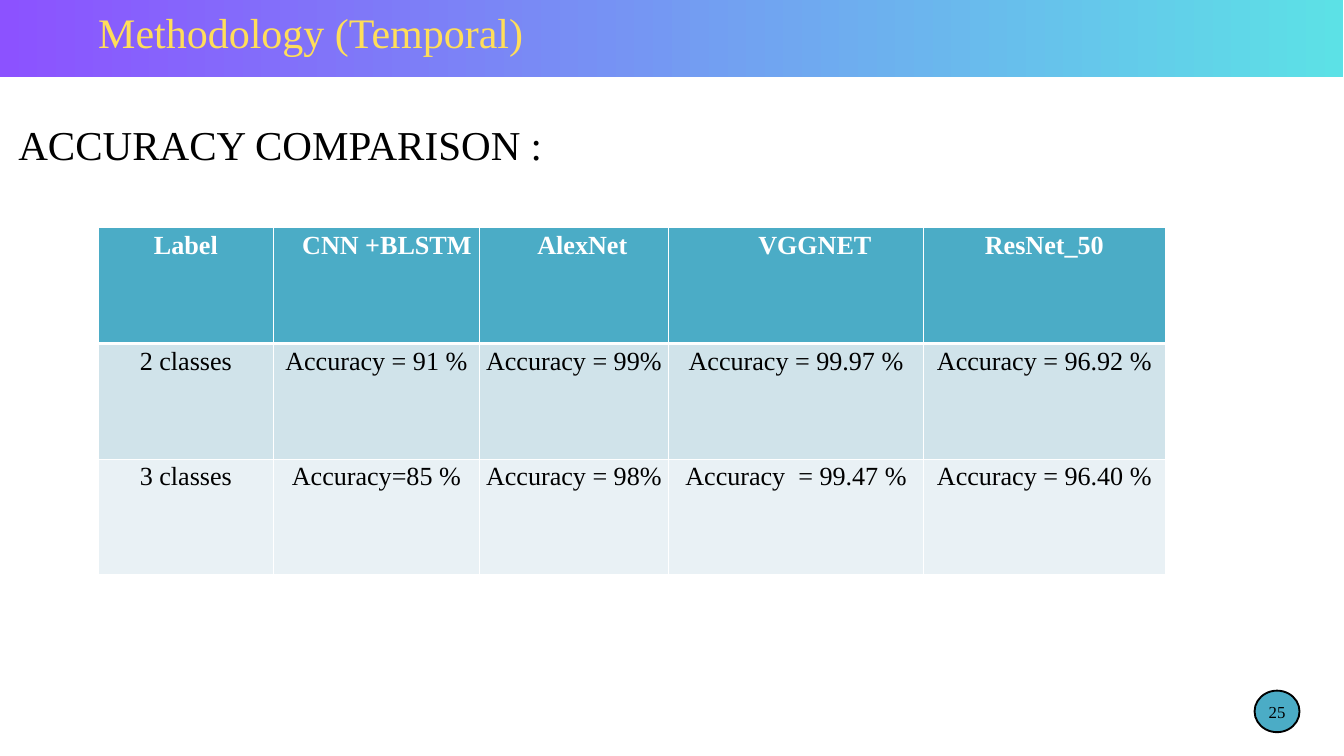
from lxml.etree import SubElement
from pptx import Presentation
from pptx.dml.color import RGBColor
from pptx.enum.shapes import MSO_SHAPE
from pptx.enum.text import MSO_ANCHOR, MSO_AUTO_SIZE, PP_ALIGN
from pptx.oxml.ns import qn
from pptx.util import Cm, Pt

COLORS = {
    "violet": "8C52FF", "aqua": "5CE1E6", "yellow": "FFDE59",
    "teal": "4BACC6", "band1": "D0E3EA", "band2": "E9F1F5",
    "black": "000000", "white": "FFFFFF",
}
FORMATS = {
    "title": {"size": Pt(45), "bold": False},
    "heading": {"size": Pt(44), "bold": False},
    "header": {"size": Pt(28), "bold": True},
    "body": {"size": Pt(28), "bold": False},
    "number": {"size": Pt(18), "bold": False},
}


def rgb(name):
    return RGBColor.from_string(COLORS[name])


def write(tf, text, fmt, color, align=PP_ALIGN.CENTER):
    p = tf.paragraphs[0]
    p.alignment = align
    r = p.add_run()
    r.text = text
    r.font.name = "Times New Roman"
    r.font.color.rgb = rgb(color)
    for key, value in FORMATS[fmt].items():
        setattr(r.font, key, value)
    return p


prs = Presentation()
prs.slide_width, prs.slide_height = Cm(50.8), Cm(28.58)
s = prs.slides.add_slide(prs.slide_layouts[5])

title = s.shapes.title
title.left, title.top, title.width, title.height = Cm(3.71), Cm(0.28), Cm(25.25), Cm(3.78)
tf = title.text_frame
tf.word_wrap = True
tf.auto_size = MSO_AUTO_SIZE.NONE
tf.vertical_anchor = MSO_ANCHOR.TOP
for side in ("left", "top", "right", "bottom"):
    setattr(tf, f"margin_{side}", 0)
p = write(tf, "Methodology (Temporal)", "title", "yellow", PP_ALIGN.LEFT)
p.line_spacing = Pt(52.6)

band = s.shapes.add_shape(MSO_SHAPE.RECTANGLE, 0, 0, Cm(50.77), Cm(2.9))
band.shadow.inherit = False
band.line.fill.background()
band.fill.gradient()
band.fill.gradient_angle = 0
for stop, name in zip(band.fill.gradient_stops, ("violet", "aqua")):
    stop.color.rgb = rgb(name)
title.element.addprevious(band.element)

heading = s.shapes.add_textbox(Cm(-7.19), Cm(4.39), Cm(35.59), Cm(4.55))
heading.text_frame.word_wrap = True
write(heading.text_frame, "ACCURACY COMPARISON :", "heading", "black")

rows = [
    ["Label", "CNN +BLSTM", "AlexNet", "VGGNET", "ResNet_50"],
    ["2 classes", "Accuracy = 91 %", "Accuracy = 99%", "Accuracy = 99.97 %", "Accuracy = 96.92 %"],
    ["3 classes", "Accuracy=85 %", "Accuracy = 98%", "Accuracy  = 99.47 %", "Accuracy = 96.40 %"],
]
widths = [6.63, 7.77, 7.16, 9.63, 9.14]
header_indents = [0, 0.79, 0.64, 1.43, 0]
fills = ["teal", "band1", "band2"]

table = s.shapes.add_table(3, 5, Cm(3.71), Cm(8.61), Cm(sum(widths)), Cm(13.11)).table
for column, width in zip(table.columns, widths):
    column.width = Cm(width)
for i, row in enumerate(rows):
    table.rows[i].height = Cm(4.37)
    for j, text in enumerate(row):
        cell = table.cell(i, j)
        indent = header_indents[j] if i == 0 else 0
        cell.margin_left, cell.margin_right = Cm(0.2 + indent), Cm(0.2)
        tcPr = cell._tc.get_or_add_tcPr()
        for edge in ("lnL", "lnR", "lnT", "lnB"):
            under_header = (i, edge) in ((0, "lnB"), (1, "lnT"))
            ln = SubElement(tcPr, qn(f"a:{edge}"), w=str(Pt(3 if under_header else 1)))
            fill = SubElement(ln, qn("a:solidFill"))
            SubElement(fill, qn("a:srgbClr"), val=COLORS["white"])
        cell.fill.solid()
        cell.fill.fore_color.rgb = rgb(fills[i])
        fmt, color = ("header", "white") if i == 0 else ("body", "black")
        write(cell.text_frame, text, fmt, color)

badge = s.shapes.add_shape(MSO_SHAPE.OVAL, Cm(47.42), Cm(26.11), Cm(1.7), Cm(1.57))
badge.shadow.inherit = False
badge.fill.solid()
badge.fill.fore_color.rgb = rgb("teal")
badge.line.color.rgb = rgb("black")
badge.line.width = Pt(2)
tf = badge.text_frame
tf.word_wrap = False
tf.vertical_anchor = MSO_ANCHOR.MIDDLE
write(tf, "25", "number", "black")

prs.save("out.pptx")
